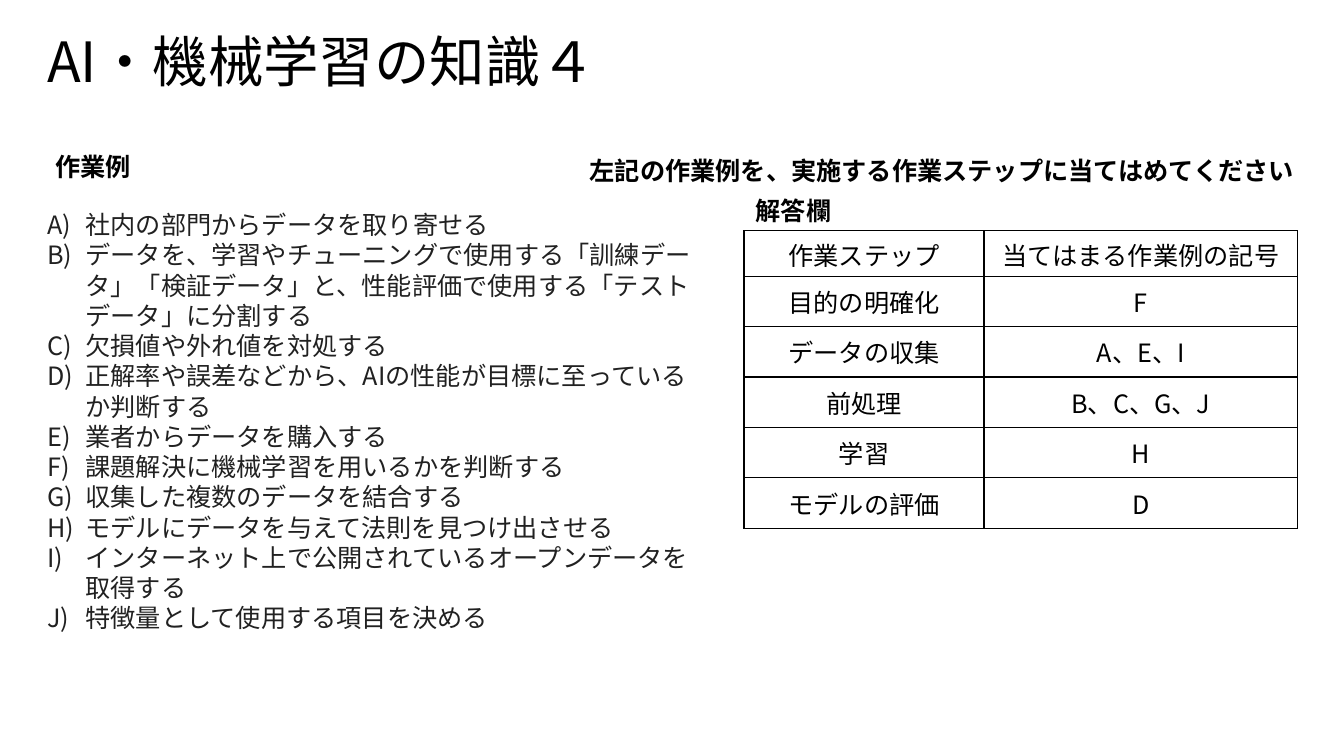
from lxml import etree
from pptx import Presentation, util as u
from pptx.dml.color import RGBColor
from pptx.enum import text as t
from pptx.oxml.ns import qn

PX = 9144
FONT = "Noto Sans CJK JP"
INK = {"black": "000000", "body": "212121"}
TASKS = [
    "社内の部門からデータを取り寄せる",
    "データを、学習やチューニングで使用する「訓練データ」「検証データ」と、性能評価で使用する「テストデータ」に分割する",
    "欠損値や外れ値を対処する",
    "正解率や誤差などから、AIの性能が目標に至っているか判断する",
    "業者からデータを購入する",
    "課題解決に機械学習を用いるかを判断する",
    "収集した複数のデータを結合する",
    "モデルにデータを与えて法則を見つけ出させる",
    "インターネット上で公開されているオープンデータを取得する",
    "特徴量として使用する項目を決める",
]
STEPS = [
    ("作業ステップ", "当てはまる作業例の記号"),
    ("目的の明確化", "F"),
    ("データの収集", "A、E、I"),
    ("前処理", "B、C、G、J"),
    ("学習", "H"),
    ("モデルの評価", "D"),
]


def px(*vals):
    """Turn pixel lengths into EMU."""
    return [u.Emu(v * PX) for v in vals]


def put(para, words, size=18, ink="black", bold=False):
    """Add one styled run to a paragraph."""
    run = para.add_run()
    run.text = words
    font = run.font
    font.name, font.size, font.bold = FONT, u.Pt(size), bold
    font.color.rgb = RGBColor.from_string(INK[ink])
    etree.SubElement(run._r.get_or_add_rPr(), qn("a:ea"), typeface=FONT)


def frame(slide, box, wrap=True):
    """Add an empty text box and return its frame."""
    body = slide.shapes.add_textbox(*px(*box)).text_frame
    body.word_wrap = wrap
    return body


def title(slide, box, words):
    """Place the slide title, centred in height."""
    body = frame(slide, box)
    body.vertical_anchor = t.MSO_ANCHOR.MIDDLE
    para = body.paragraphs[0]
    para.line_spacing = 0.9
    put(para, words, 39.6)


def label(slide, box, words, gap=1.0, wrap=True):
    """Place a bold heading."""
    para = frame(slide, box, wrap).paragraphs[0]
    para.line_spacing = gap
    if not wrap:
        para.alignment = t.PP_ALIGN.CENTER
    put(para, words, bold=True)


def tasks(slide, box, items):
    """Place the list of tasks lettered A) onwards."""
    body = frame(slide, box)
    for i, item in enumerate(items):
        para = body.add_paragraph() if i else body.paragraphs[0]
        put(para, item, ink="body")
        props = para._p.get_or_add_pPr()
        indent = 38 * PX
        props.set("marL", str(indent))
        props.set("indent", str(-indent))
        etree.SubElement(props, qn("a:buFont"), typeface=FONT)
        etree.SubElement(props, qn("a:buAutoNum"), type="alphaUcParenR")


def edge(cell):
    """Draw a thin black line on all sides of a cell."""
    props = cell._tc.get_or_add_tcPr()
    for i, side in enumerate(("lnL", "lnR", "lnT", "lnB")):
        line = etree.Element(qn("a:" + side), w=str(u.Pt(1)))
        fill = etree.SubElement(line, qn("a:solidFill"))
        etree.SubElement(fill, qn("a:srgbClr"), val=INK["black"])
        props.insert(i, line)


def answers(slide, box, rows, wide, head):
    """Place the answer table with a short head row."""
    grid = slide.shapes.add_table(len(rows), len(wide), *px(*box)).table
    grid.first_row = grid.horz_banding = False
    for col, width in zip(grid.columns, px(*wide)):
        col.width = width
    rest = (box[3] - head) // (len(rows) - 1)
    for r, row in enumerate(rows):
        grid.rows[r].height = px(rest if r else head)[0]
        for c, words in enumerate(row):
            cell = grid.cell(r, c)
            cell.fill.background()
            cell.vertical_anchor = t.MSO_ANCHOR.MIDDLE
            edge(cell)
            para = cell.text_frame.paragraphs[0]
            para.alignment = t.PP_ALIGN.CENTER
            put(para, words)


def main():
    """Build the slide and save it."""
    deck = Presentation()
    deck.slide_width, deck.slide_height = px(1333, 750)
    slide = deck.slides.add_slide(deck.slide_layouts[6])
    title(slide, (37, 39, 1150, 49), "AI・機械学習の知識４")
    answers(slide, (738, 229, 549, 295), STEPS, (238, 311), 45)
    label(slide, (45, 149, 263, 47), "作業例", 0.9)
    tasks(slide, (37, 203, 667, 434), TASKS)
    label(slide, (575, 149, 732, 40), "左記の作業例を、実施する作業ステップに当てはめてください")
    label(slide, (739, 189, 96, 40), "解答欄", wrap=False)
    deck.save("out.pptx")


if __name__ == "__main__":
    main()
